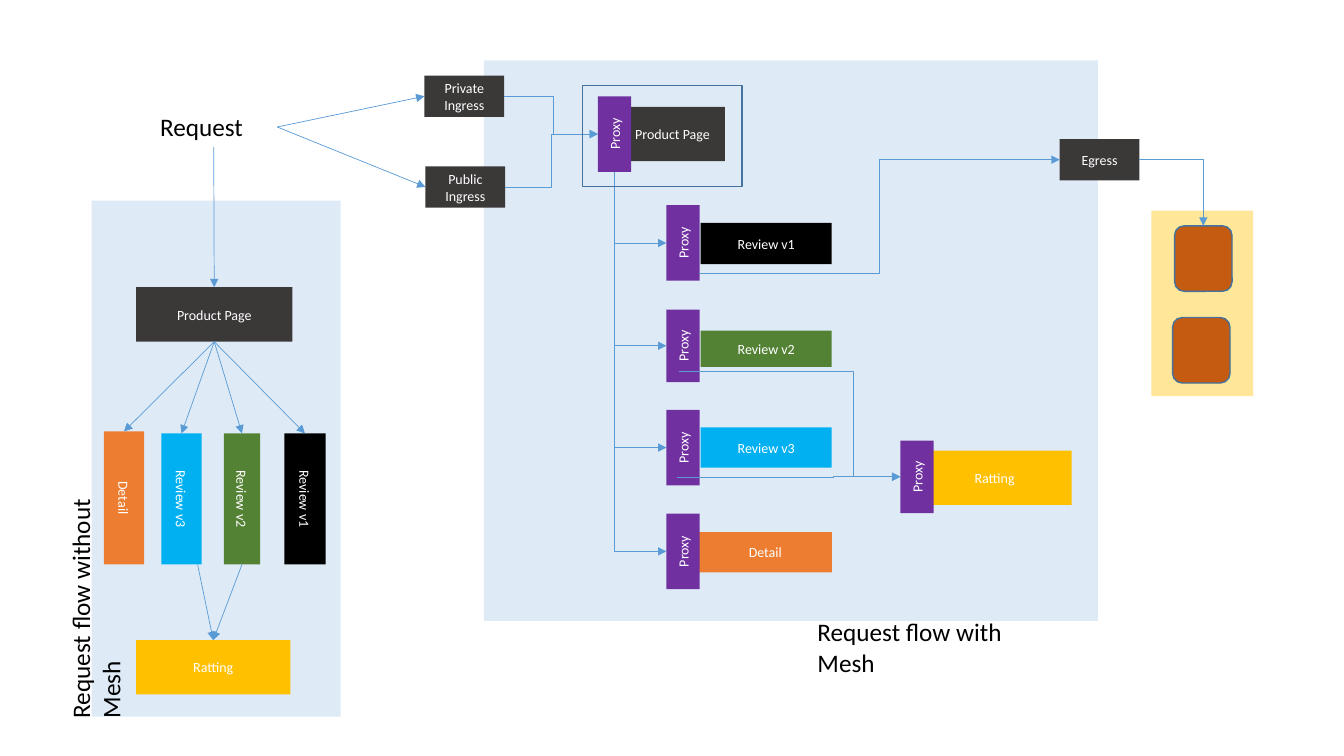
import dataclasses

import lxml.etree
import pptx
import pptx.dml.color
import pptx.enum.shapes
import pptx.enum.text
import pptx.oxml.ns
import pptx.util

Inches = pptx.util.Inches
Kind = pptx.enum.shapes.MSO_SHAPE
Wire = pptx.enum.shapes.MSO_CONNECTOR
Align = pptx.enum.text.PP_ALIGN
Anchor = pptx.enum.text.MSO_ANCHOR
TOP, LEFT, BOTTOM, RIGHT = range(4)


@dataclasses.dataclass(frozen=True)
class Theme:
    """Hold the colours, font and type sizes."""
    font: str = "Calibri"
    small: int = 10
    large: int = 18
    thin: float = 0.5
    edge: float = 1
    panel: str = "DEEBF7"
    dark: str = "3B3838"
    proxy: str = "7030A0"
    black: str = "000000"
    green: str = "548235"
    blue: str = "00B0F0"
    orange: str = "ED7D31"
    gold: str = "FFC000"
    sand: str = "FFE699"
    rust: str = "C55A11"
    rim: str = "43739E"
    wire: str = "5B9BD5"
    white: str = "FFFFFF"


def apply(target, values):
    """Set each named value on the target."""
    for name, value in values.items():
        setattr(target, name, value)


def tint(code):
    """Turn a hex code into a colour."""
    return pptx.dml.color.RGBColor.from_string(code)


class Board:
    """Draw styled elements on one slide."""

    def __init__(self, slide, theme):
        """Keep the slide and the theme."""
        self.slide = slide
        self.theme = theme

    def letter(self, shape, text, size, color, align):
        """Put one styled paragraph into a shape."""
        para = shape.text_frame.paragraphs[0]
        para.alignment = align
        run = para.add_run()
        run.text = text
        apply(run.font, {"name": self.theme.font, "size": pptx.util.Pt(size)})
        run.font.color.rgb = tint(color)

    def box(self, x, y, w, h, fill=None, text="", turn=0, edge=False, kind=Kind.RECTANGLE):
        """Draw a box that covers the given area after its turn."""
        if turn % 180:
            x, y, w, h = x + (w - h) / 2, y + (h - w) / 2, h, w
        shape = self.slide.shapes.add_shape(kind, *map(Inches, (x, y, w, h)))
        shape.rotation = turn
        shape.shadow.inherit = False
        if fill:
            shape.fill.solid()
            shape.fill.fore_color.rgb = tint(fill)
        else:
            shape.fill.background()
        if edge:
            shape.line.color.rgb = tint(self.theme.rim)
            shape.line.width = pptx.util.Pt(self.theme.edge)
        else:
            shape.line.fill.background()
        if text:
            apply(shape.text_frame, {"word_wrap": True, "vertical_anchor": Anchor.MIDDLE})
            self.letter(shape, text, self.theme.small, self.theme.white, Align.CENTER)
        return shape

    def proxy(self, x, mid, h):
        """Draw an upright proxy centred on a height."""
        return self.box(x, mid - h / 2, 0.33, h, self.theme.proxy, "Proxy", 270)

    def label(self, x, y, w, text, turn=0, wrap=False):
        """Draw a large caption."""
        shape = self.slide.shapes.add_textbox(*map(Inches, (x, y, w, 0.4)))
        shape.rotation = turn
        shape.text_frame.word_wrap = wrap
        self.letter(shape, text, self.theme.large, self.theme.black, Align.LEFT)
        return shape

    def side(self, shape, edge):
        """Find the middle of a visible side, in inches."""
        x, y = shape.left + shape.width / 2, shape.top + shape.height / 2
        w, h = shape.width / 2, shape.height / 2
        if shape.rotation % 180:
            w, h = h, w
        dx, dy = ((0, -h), (-w, 0), (0, h), (w, 0))[edge]
        return (x + dx) / Inches(1), (y + dy) / Inches(1)

    def wire(self, kind, start, end):
        """Draw a thin line with an arrowhead."""
        line = self.slide.shapes.add_connector(kind, *map(Inches, (*start, *end)))
        line.line.color.rgb = tint(self.theme.wire)
        line.line.width = pptx.util.Pt(self.theme.thin)
        qn = pptx.oxml.ns.qn
        pen = line._element.xpath(".//a:ln")[0]
        lxml.etree.SubElement(pen, qn("a:tailEnd"), type="triangle")
        lxml.etree.SubElement(line._element.spPr, qn("a:effectLst"))
        return line

    def link(self, a, out, b, into):
        """Join the visible sides of two shapes."""
        start, end = self.side(a, out), self.side(b, into)
        line = self.wire(Wire.STRAIGHT, start, end)
        line.begin_connect(a, (out + int(a.rotation) // 90) % 4)
        line.end_connect(b, (into + int(b.rotation) // 90) % 4)
        spots = map(Inches, (*start, *end))
        apply(line, dict(zip(("begin_x", "begin_y", "end_x", "end_y"), spots)))

    def step(self, start, end, ratio):
        """Draw an elbow that turns twice."""
        line = self.wire(Wire.ELBOW, start, end)
        bends = line._element.xpath(".//a:avLst")[0]
        lxml.etree.SubElement(bends, pptx.oxml.ns.qn("a:gd"), name="adj1",
                              fmla=f"val {round(ratio * 100000)}")

    def turn(self, start, end, down=False):
        """Draw an elbow that turns once."""
        angle = 0
        if down:
            (ax, ay), (bx, by) = start, end
            x, y, w, h = (ax + bx) / 2, (ay + by) / 2, (by - ay) / 2, (bx - ax) / 2
            start, end, angle = (x + w, y - h), (x - w, y + h), 270
        line = self.wire(Wire.ELBOW, start, end)
        line.rotation = angle
        line._element.xpath(".//a:prstGeom")[0].set("prst", "bentConnector2")


def plain(board):
    """Draw the flow on the left; return its request."""
    t = board.theme
    board.box(0.91, 1.99, 2.47, 5.12, t.panel)
    page = board.box(1.35, 2.85, 1.55, 0.54, t.dark, "Product Page")
    rating = board.box(1.35, 6.35, 1.53, 0.54, t.gold, "Ratting")
    parts = (("Detail", t.orange, 1.03, 4.28, 0.4, 1.32),
             ("Review v3", t.blue, 1.6, 4.3, 0.4, 1.3),
             ("Review v2", t.green, 2.22, 4.3, 0.36, 1.3),
             ("Review v1", t.black, 2.82, 4.3, 0.41, 1.3))
    bars = {name: board.box(x, y, w, h, fill, name, 90) for name, fill, x, y, w, h in parts}
    ask = board.label(1.49, 1.06, 1.26, "Request", wrap=True)
    board.link(ask, BOTTOM, page, TOP)
    for bar in bars.values():
        board.link(page, BOTTOM, bar, TOP)
    board.link(bars["Review v2"], BOTTOM, rating, TOP)
    board.wire(Wire.STRAIGHT, (1.96, 5.6), board.side(rating, TOP)).end_connect(rating, TOP)
    return ask


def mesh(board, ask):
    """Draw the flow through proxies on the right."""
    t = board.theme
    board.box(4.8, 0.6, 6.09, 5.56, t.panel)
    board.box(6.15, 1.06, 1.04, 0.54, t.dark, "Product Page")
    board.box(9.1, 4.47, 1.53, 0.54, t.gold, "Ratting")
    front = board.proxy(5.93, 1.33, 0.75)
    rating = board.proxy(8.93, 4.73, 0.72)
    rows = (("Review v1", t.black, 6.95, 2.21, 1.3, 0.41, 2.41, 0.75),
            ("Review v2", t.green, 6.95, 3.28, 1.3, 0.36, 3.43, 0.72),
            ("Review v3", t.blue, 6.95, 4.24, 1.3, 0.4, 4.44, 0.75),
            ("Detail", t.orange, 6.93, 5.28, 1.32, 0.4, 5.47, 0.75))
    for name, fill, x, y, w, h, mid, tall in rows:
        board.box(x, y, w, h, fill, name)
        proxy = board.proxy(6.61, mid, tall)
        board.turn(board.side(front, BOTTOM), board.side(proxy, LEFT), down=True)
    for name, x, y, ratio in (("Public Ingress", 4.22, 1.65, 0.5),
                              ("Private Ingress", 4.21, 0.75, 0.53)):
        gate = board.box(x, y, 0.79, 0.41, t.dark, name)
        board.link(ask, RIGHT, gate, LEFT)
        board.step(board.side(gate, RIGHT), board.side(front, LEFT), ratio)
    for start, ratio in (((6.73, 3.68), 0.79), ((6.71, 4.74), 0.7)):
        board.step(start, board.side(rating, LEFT), ratio)
    egress = board.box(10.51, 1.38, 0.79, 0.41, t.dark, "Egress")
    board.step((6.93, 2.71), board.side(egress, LEFT), 0.5)
    board.box(11.42, 2.09, 1.01, 1.84, t.sand)
    first, _ = [board.box(x, y, 0.57, 0.65, t.rust, edge=True, kind=Kind.ROUNDED_RECTANGLE)
                for x, y in ((11.65, 2.24), (11.63, 3.15))]
    board.turn(board.side(egress, RIGHT), board.side(first, TOP))


def main():
    """Build and save the slide."""
    deck = pptx.Presentation()
    apply(deck, {"slide_width": Inches(13.33), "slide_height": Inches(7.5)})
    board = Board(deck.slides.add_slide(deck.slide_layouts[6]), Theme())
    mesh(board, plain(board))
    board.label(-0.65, 5.58, 2.89, "Request flow without Mesh", turn=270)
    board.label(8.01, 6.07, 2.54, "Request flow with Mesh")
    board.box(5.78, 0.85, 1.58, 1, edge=True)
    deck.save("out.pptx")


if __name__ == "__main__":
    main()
